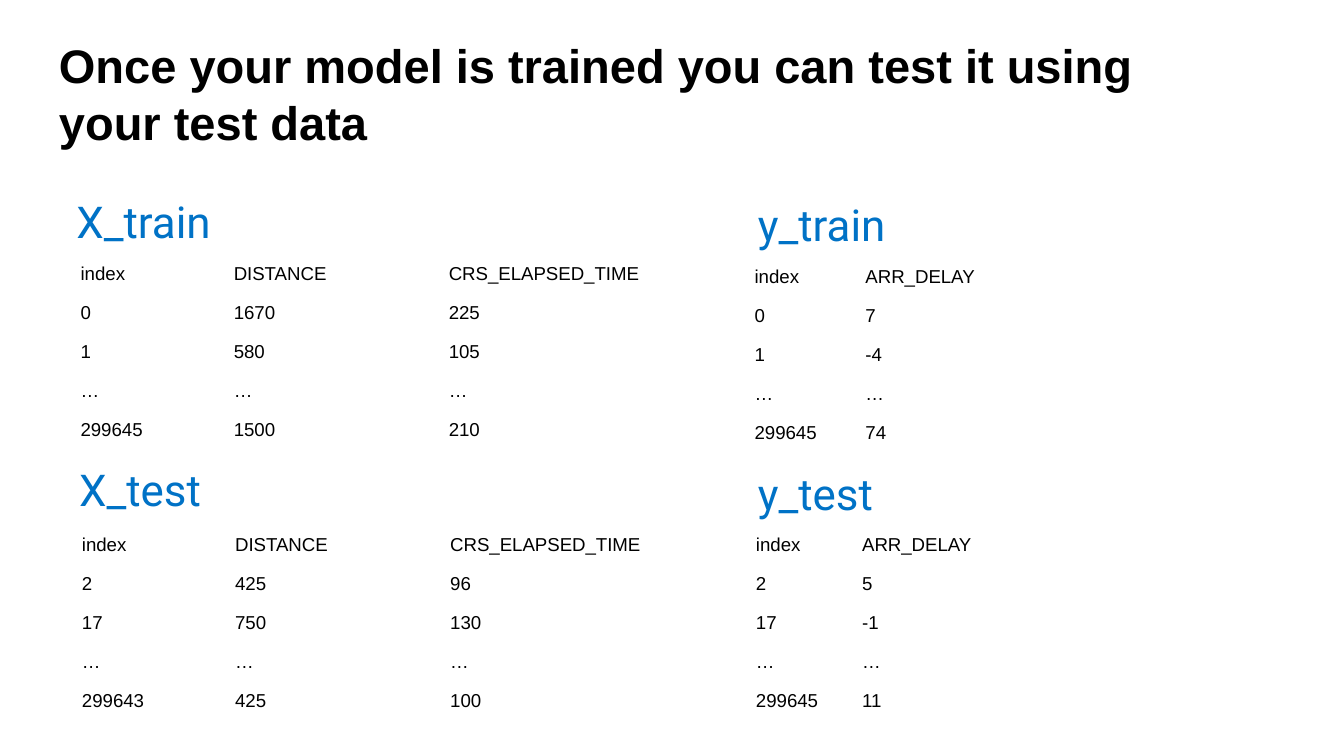
import pptx
import pptx.dml.color
import pptx.enum.text
import pptx.util

Inches = pptx.util.Inches
Pt = pptx.util.Pt

# Widescreen slide, 16 to 9
deck = pptx.Presentation()
deck.slide_width = Inches(10)
deck.slide_height = deck.slide_width * 9 // 16
slide = deck.slides.add_slide(deck.slide_layouts[6])

# Grid: 1000 steps across the slide's width
UNIT = deck.slide_width / 1000
ROW_HEIGHT = 29


def grid(*steps):
    return [round(step * UNIT) for step in steps]


def style(paragraph, font_name, size, color, bold=False):
    font = paragraph.font
    font.name, font.size, font.bold = font_name, Pt(size), bold
    font.color.rgb = pptx.dml.color.RGBColor.from_string(color)


# Title
title = slide.shapes.add_textbox(*grid(34, 38, 891, 63)).text_frame
title.word_wrap = True
title.vertical_anchor = pptx.enum.text.MSO_ANCHOR.MIDDLE
title.margin_top = title.margin_bottom = Inches(0.1)
title.text = "Once your model is trained you can test it using your test data"
style(title.paragraphs[0], "Arial", 25.2, "000000", bold=True)

# Data sets: name, name position, table position, column widths, rows
features = ["index", "DISTANCE", "CRS_ELAPSED_TIME"]
target = ["index", "ARR_DELAY"]
data_sets = [
    ("X_train", (47, 140), (53, 192.5), (114, 160, 192),
     [features, ["0", "1670", "225"], ["1", "580", "105"],
      ["…", "…", "…"], ["299645", "1500", "210"]]),
    ("y_train", (554, 142), (554.5, 194.5), (82.5, 116),
     [target, ["0", "7"], ["1", "-4"], ["…", "…"], ["299645", "74"]]),
    ("X_test", (49, 339.5), (54, 394), (114, 160, 192),
     [features, ["2", "425", "96"], ["17", "750", "130"],
      ["…", "…", "…"], ["299643", "425", "100"]]),
    ("y_test", (554, 342.5), (555.5, 394), (79, 116),
     [target, ["2", "5"], ["17", "-1"], ["…", "…"], ["299645", "11"]]),
]

for name, name_corner, table_corner, widths, rows in data_sets:
    # Name above the table
    heading = slide.shapes.add_textbox(*grid(*name_corner, 199, 50)).text_frame
    heading.word_wrap = True
    heading.text = name
    style(heading.paragraphs[0], "Roboto", 23.5, "0072C6")

    # Plain table without header style or bands
    table = slide.shapes.add_table(
        len(rows), len(widths),
        *grid(*table_corner, sum(widths), ROW_HEIGHT * len(rows))).table
    table.first_row = table.horz_banding = False
    for column, width in zip(table.columns, grid(*widths)):
        column.width = width
    for r, values in enumerate(rows):
        for c, value in enumerate(values):
            cell = table.cell(r, c)
            cell.fill.background()
            cell.margin_left = cell.margin_right = Inches(0.07)
            cell.margin_top = cell.margin_bottom = Inches(0.04)
            cell.text = value
            style(cell.text_frame.paragraphs[0], "Arial", 10, "000000")

deck.save("out.pptx")
